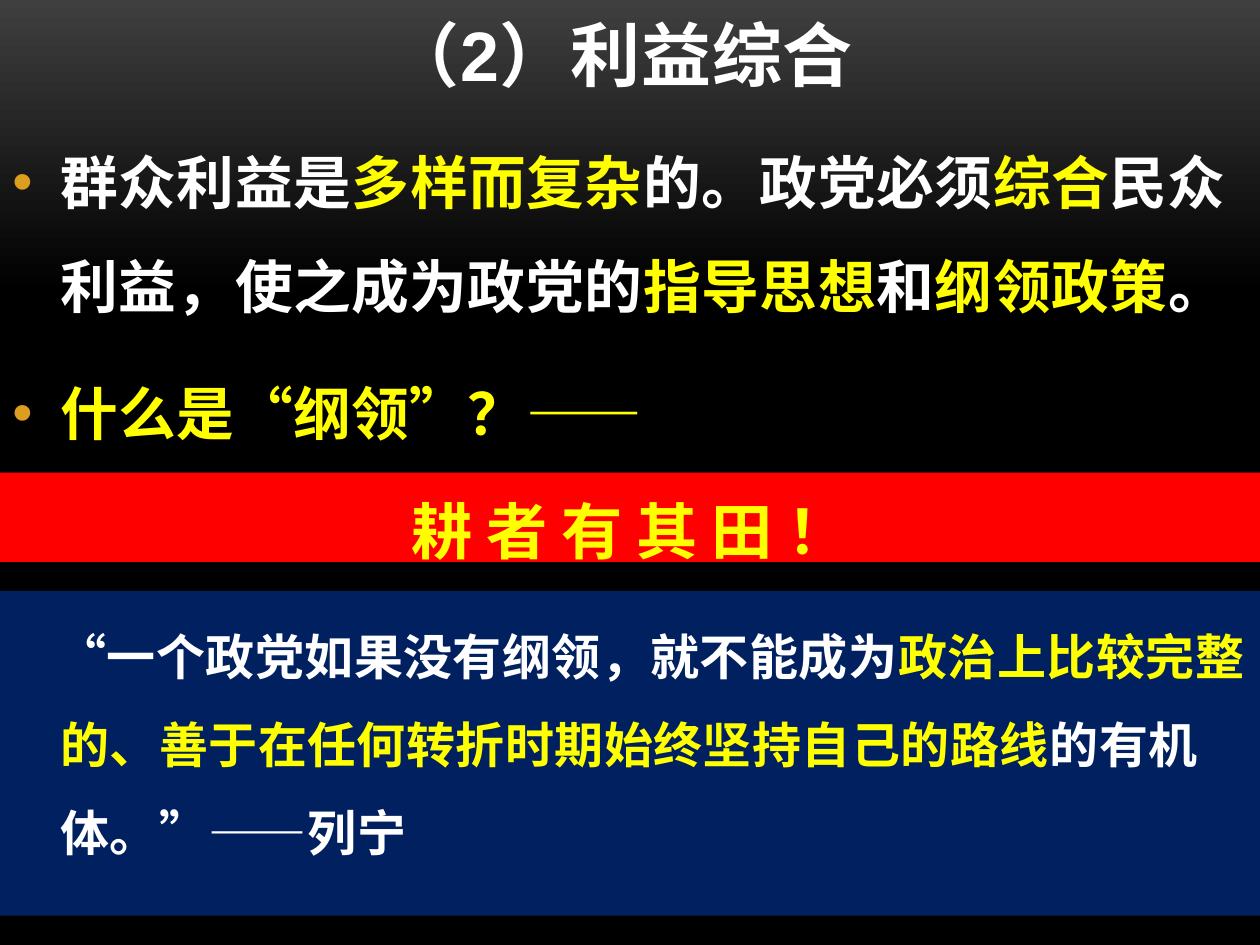
import pptx
import pptx.util
import pptx.dml.color
import pptx.enum.shapes
import pptx.enum.text
import pptx.oxml
import pptx.oxml.ns

Cm, Pt = pptx.util.Cm, pptx.util.Pt
ALIGN = pptx.enum.text.PP_ALIGN
ANCHOR = pptx.enum.text.MSO_ANCHOR

COLORS = {"white": "FFFFFF", "yellow": "FFFF00", "red": "FF0000", "navy": "002060",
          "bullet": "DC9E1F", "gray": "3F3F3F", "black": "000000"}
FONT = "Arial"
WIDTH, HEIGHT = 25.4, 19.05

# Content: a paragraph is a list of (text, color) runs
TITLE = [("（2）利益综合", "white")]
POINTS = [
    [("群众利益是", "white"), ("多样而复杂", "yellow"), ("的。政党必须", "white"),
     ("综合", "yellow"), ("民众利益，使之成为政党的", "white"), ("指导思想", "yellow"),
     ("和", "white"), ("纲领政策", "yellow"), ("。", "white")],
    [("什么是“纲领”？——", "yellow")],
]
SLOGAN = [("耕 者 有 其 田 ！", "yellow")]
QUOTE = [("“一个政党如果没有纲领，就不能成为", "white"),
         ("政治上比较完整的、善于在任何转折时期始终坚持自己的路线", "yellow"),
         ("的有机体。”——列宁", "white")]


def rgb(name):
    return pptx.dml.color.RGBColor.from_string(COLORS[name])


def write_runs(p, runs, size, spacing=0):
    for text, color in runs:
        r = p.add_run()
        r.text = text
        r.font.name, r.font.size, r.font.bold = FONT, Pt(size), True
        r.font.color.rgb = rgb(color)
        if spacing:
            r.font._element.set("spc", str(round(spacing * 100)))


def set_body_format(p, before, indent):
    p.alignment = ALIGN.LEFT
    p.line_spacing, p.space_before, p.space_after = 1.5, Pt(before), Pt(6)
    pPr = p._p.get_or_add_pPr()
    pPr.set("marL", str(Cm(0.97)))
    pPr.set("indent", str(Cm(indent)))
    return pPr


def add_bullet(pPr):
    ns = pptx.oxml.ns.nsdecls("a")
    for xml in (f'<a:buClr {ns}><a:srgbClr val="{COLORS["bullet"]}"/></a:buClr>',
                f'<a:buFont {ns} typeface="{FONT}"/>',
                f'<a:buChar {ns} char="•"/>'):
        pPr.append(pptx.oxml.parse_xml(xml))


def add_band(slide, top, height, fill):
    sp = slide.shapes.add_shape(pptx.enum.shapes.MSO_SHAPE.RECTANGLE,
                                0, Cm(top), Cm(WIDTH), Cm(height))
    sp.shadow.inherit = False
    sp.fill.solid()
    sp.fill.fore_color.rgb = rgb(fill)
    sp.line.fill.background()
    tf = sp.text_frame
    tf.word_wrap, tf.vertical_anchor = True, ANCHOR.TOP
    return tf.paragraphs[0]


prs = pptx.Presentation()
prs.slide_width, prs.slide_height = Cm(WIDTH), Cm(HEIGHT)
s = prs.slides.add_slide(prs.slide_layouts[5])

# Background: gray fading to black from the top
bg = s.background.fill
bg.gradient()
bg.gradient_angle = 270
for stop, (position, color) in zip(bg.gradient_stops, [(0, "gray"), (0.31, "black")]):
    stop.position = position
    stop.color.rgb = rgb(color)

# Title
title = s.shapes.title
title.left, title.top, title.width, title.height = Cm(3.1), 0, Cm(18.85), Cm(2.06)
tf = title.text_frame
tf.vertical_anchor, tf.auto_size = ANCHOR.BOTTOM, pptx.enum.text.MSO_AUTO_SIZE.NONE
tf.paragraphs[0].alignment = ALIGN.CENTER
write_runs(tf.paragraphs[0], TITLE, 40, 0.5)

# Bulleted points
tf = s.shapes.add_textbox(0, Cm(2.13), Cm(WIDTH), Cm(7.14)).text_frame
tf.word_wrap = True
for i, runs in enumerate(POINTS):
    p = tf.add_paragraph() if i else tf.paragraphs[0]
    add_bullet(set_body_format(p, 7.5, -0.97))
    write_runs(p, runs, 33, 0.3)

# Red slogan band
p = add_band(s, 9.53, 1.8, "red")
p.alignment, p.line_spacing = ALIGN.CENTER, Pt(50)
write_runs(p, SLOGAN, 35)

# Blue quotation band
p = add_band(s, 11.91, 6.55, "navy")
set_body_format(p, 6.5, -0.06)
write_runs(p, QUOTE, 28, 0.3)

prs.save("out.pptx")
